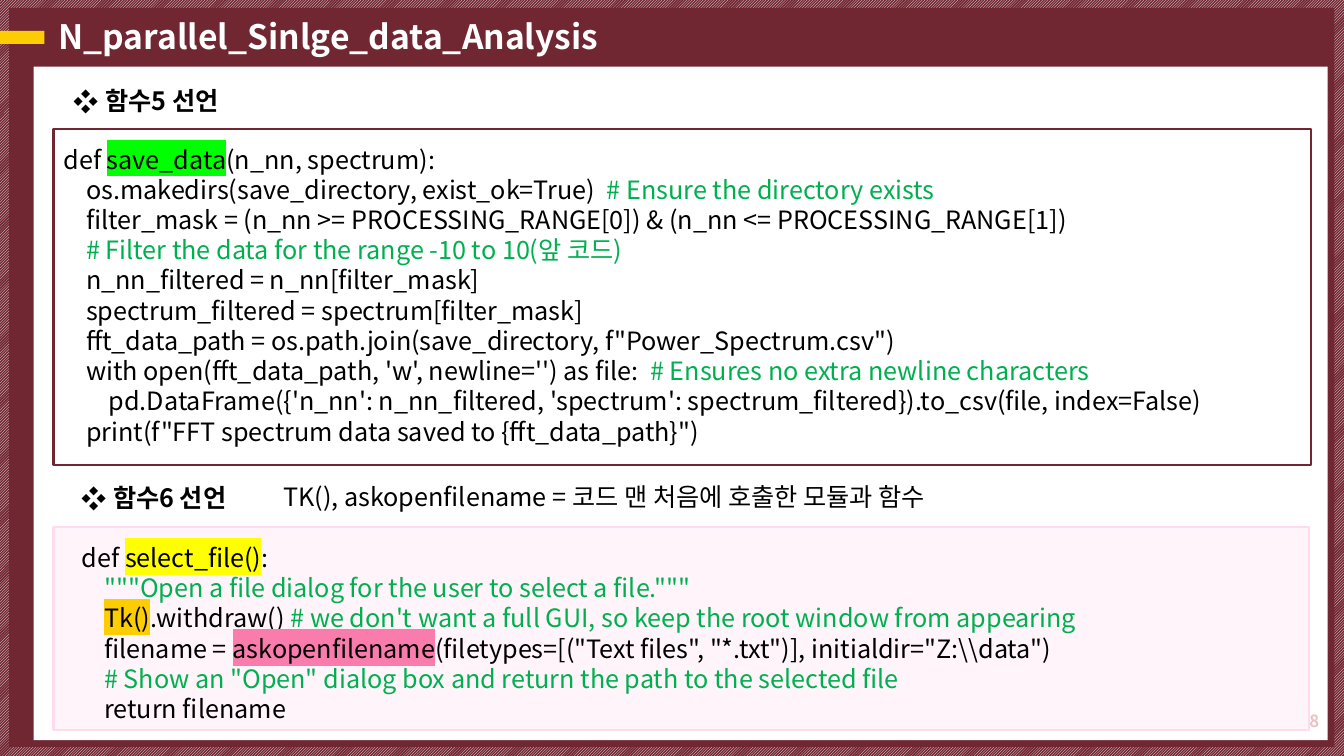
import pptx
import pptx.util
import pptx.dml.color
import pptx.enum.dml
import pptx.enum.shapes
import pptx.enum.text
import pptx.oxml
import pptx.oxml.ns
from dataclasses import dataclass

Cm, Pt = pptx.util.Cm, pptx.util.Pt
qn = pptx.oxml.ns.qn
ALIGN = pptx.enum.text.PP_ALIGN
MIDDLE = pptx.enum.text.MSO_ANCHOR.MIDDLE


@dataclass
class Theme:
    font: str = "Noto Sans CJK KR"
    wine: str = "712732"
    gold: str = "FDCD03"
    pink: str = "FFDCED"
    rose: str = "FA7CAC"
    pale: str = "E9C1C7"
    lime: str = "00FF00"
    sun: str = "FFFF00"
    green: str = "00B050"
    white: str = "FFFFFF"
    black: str = "000000"
    title: int = 24
    body: int = 18
    small: int = 12
    tab: float = 0.57  # cm for each code level


theme = Theme()

# Code as (level, runs); a run is text or (text, highlight colour)
SAVE = [
    (0, ["def ", ("save_data", theme.lime), "(n_nn, spectrum):"]),
    (1, ["os.makedirs(save_directory, exist_ok=True)  ", "# Ensure the directory exists"]),
    (1, ["filter_mask = (n_nn >= PROCESSING_RANGE[0]) & (n_nn <= PROCESSING_RANGE[1])"]),
    (1, ["# Filter the data for the range -10 to 10(앞 코드)"]),
    (1, ["n_nn_filtered = n_nn[filter_mask]"]),
    (1, ["spectrum_filtered = spectrum[filter_mask]"]),
    (1, ['fft_data_path = os.path.join(save_directory, f"Power_Spectrum.csv")']),
    (1, ["with open(fft_data_path, 'w', newline='') as file:  ",
         "# Ensures no extra newline characters"]),
    (2, ["pd.DataFrame({'n_nn': n_nn_filtered, 'spectrum': spectrum_filtered})"
         ".to_csv(file, index=False)"]),
    (1, ['print(f"FFT spectrum data saved to {fft_data_path}")']),
]
SELECT = [
    (0, ["def ", ("select_file()", theme.sun), ":"]),
    (1, ['"""Open a file dialog for the user to select a file."""']),
    (1, [("Tk()", theme.gold), ".withdraw() ",
         "# we don't want a full GUI, so keep the root window from appearing"]),
    (1, ["filename = ", ("askopenfilename", theme.rose),
         '(filetypes=[("Text files", "*.txt")], initialdir="Z:\\\\data")']),
    (1, ['# Show an "Open" dialog box and return the path to the selected file']),
    (1, ["return filename"]),
]


def rgb(code):
    return pptx.dml.color.RGBColor.from_string(code)


def place(shape, box):
    shape.left, shape.top, shape.width, shape.height = map(Cm, box)


def write(para, text, size=theme.body, color=theme.black, bold=False, mark=None):
    """Add one formatted run to a paragraph."""
    run = para.add_run()
    run.text = text
    font = run.font
    font.size, font.bold, font.name = Pt(size), bold, theme.font
    font.color.rgb = rgb(color)
    props = run._r.get_or_add_rPr()
    props.find(qn("a:latin")).addnext(props.makeelement(qn("a:ea"), {"typeface": theme.font}))
    if mark:
        light = props.makeelement(qn("a:highlight"), {})
        light.append(light.makeelement(qn("a:srgbClr"), {"val": mark}))
        props.find(qn("a:solidFill")).addnext(light)


def panel(slide, box, fill=None, line=None, alpha=None):
    """Add a rectangle with an optional fill and outline."""
    shape = slide.shapes.add_shape(pptx.enum.shapes.MSO_SHAPE.RECTANGLE, *map(Cm, box))
    shape.shadow.inherit = False
    if fill:
        shape.fill.solid()
        shape.fill.fore_color.rgb = rgb(fill)
    else:
        shape.fill.background()
    if alpha:
        tint = shape._element.spPr.find(qn("a:solidFill"))[0]
        tint.append(tint.makeelement(qn("a:alpha"), {"val": str(alpha * 1000)}))
    if line:
        shape.line.color.rgb = rgb(line)
        shape.line.width = Pt(1.5)
    else:
        shape.line.fill.background()
    return shape


def frame(slide, box):
    """Add a wrapping text frame."""
    text = slide.shapes.add_textbox(*map(Cm, box)).text_frame
    text.word_wrap = True
    return text


def heading(slide, text, box):
    """Add a bold heading with a diamond bullet."""
    para = frame(slide, box).paragraphs[0]
    write(para, text, bold=True)
    props = para._p.get_or_add_pPr()
    props.set("marL", str(Cm(0.79)))
    props.set("indent", str(-Cm(0.79)))
    props.append(props.makeelement(qn("a:buFont"), {"typeface": theme.font}))
    props.append(props.makeelement(qn("a:buChar"), {"char": "❖"}))


def code(slide, lines, box):
    """Add code lines, with comments in green."""
    text = frame(slide, box)
    for row, (level, runs) in enumerate(lines):
        para = text.add_paragraph() if row else text.paragraphs[0]
        para._p.get_or_add_pPr().set("marL", str(Cm(theme.tab * level)))
        for run in runs:
            part, mark = (run, None) if isinstance(run, str) else run
            note = part.startswith(("#", '"""'))
            write(para, part, color=theme.green if note else theme.black, mark=mark)


def border(slide):
    """Draw the striped edge, wine frame, white page and gold tab."""
    edge = panel(slide, (0, 0, 33.87, 19.05))
    edge.fill.patterned()
    edge.fill.pattern = pptx.enum.dml.MSO_PATTERN.DARK_UPWARD_DIAGONAL
    edge.fill.fore_color.rgb = rgb(theme.white)
    edge.fill.back_color.rgb = rgb(theme.wine)
    panel(slide, (0.23, 0.2, 33.4, 18.62), theme.wine)
    panel(slide, (0.85, 1.68, 32.61, 16.97), theme.white)
    panel(slide, (-0.1, 0.78, 1.22, 0.33), theme.gold)


def head(slide, text):
    """Format the title and bring it in front of the frame."""
    title = slide.shapes.title
    place(title, (1.22, 0.39, 28.9, 1.17))
    title.text_frame.vertical_anchor = MIDDLE
    para = title.text_frame.paragraphs[0]
    para.alignment, para.line_spacing = ALIGN.LEFT, 0.9
    write(para, text, size=theme.title, color=theme.white, bold=True)
    slide.shapes._spTree.append(title._element)


def main():
    deck = pptx.Presentation()
    deck.slide_width, deck.slide_height = Cm(33.87), Cm(19.05)
    slide = deck.slides.add_slide(deck.slide_layouts[5])

    border(slide)
    panel(slide, (1.35, 13.27, 31.65, 5.13), theme.pink, theme.pink, alpha=30)
    panel(slide, (1.35, 3.25, 31.68, 8.46), line=theme.wine)
    head(slide, "N_parallel_Sinlge_data_Analysis")

    # Page number
    page = frame(slide, (23.92, 17.65, 9.58, 1.02))
    page.vertical_anchor = MIDDLE
    page.paragraphs[0].alignment = ALIGN.RIGHT
    write(page.paragraphs[0], "8", size=theme.small, color=theme.pale, bold=True)

    # Function 5
    heading(slide, "함수5 선언", (1.61, 2.03, 31.67, 1.02))
    code(slide, SAVE, (1.35, 3.5, 31.65, 7.95))

    # Function 6
    heading(slide, "함수6 선언", (1.81, 12.04, 31.67, 1.02))
    code(slide, SELECT, (1.81, 13.54, 28.14, 4.88))
    note = frame(slide, (6.89, 12.01, 24.69, 1.02))
    write(note.paragraphs[0], "TK(), askopenfilename = 코드 맨 처음에 호출한 모듈과 함수")

    deck.save("out.pptx")


if __name__ == "__main__":
    main()
